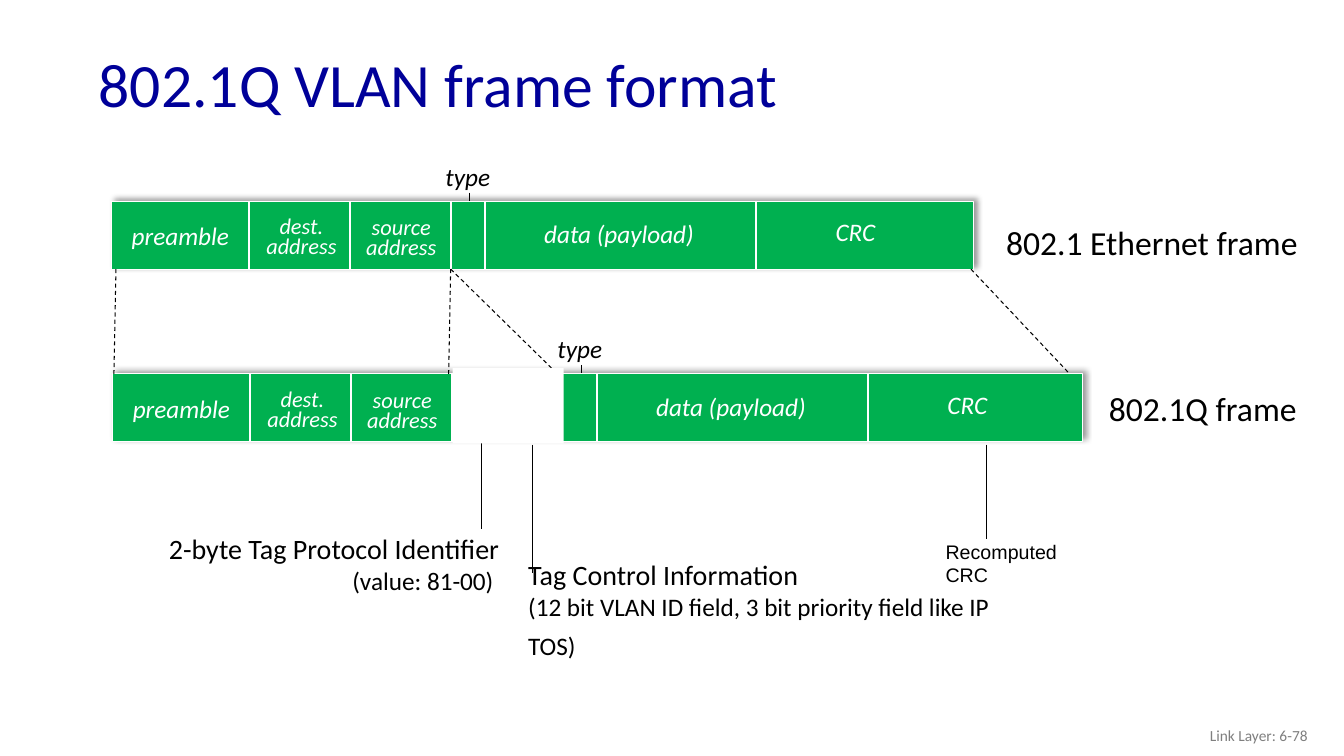
from dataclasses import dataclass

from lxml.etree import SubElement
from pptx import Presentation
from pptx.dml.color import RGBColor
from pptx.enum.dml import MSO_LINE
from pptx.enum.shapes import MSO_CONNECTOR, MSO_SHAPE
from pptx.enum.text import MSO_ANCHOR, MSO_AUTO_SIZE, PP_ALIGN
from pptx.oxml.ns import qn
from pptx.util import Inches, Pt


@dataclass(frozen=True)
class Theme:
    font: str = "Calibri"
    note_font: str = "Arial"
    title: str = "000099"
    ink: str = "000000"
    field: str = "00B050"
    paper: str = "FFFFFF"
    muted: str = "7F7F7F"
    title_size: int = 44
    frame_size: int = 24
    callout_size: int = 20
    label_size: int = 18
    address_size: int = 16
    note_size: int = 14
    footer_size: int = 11


@dataclass(frozen=True)
class Box:
    left: float
    top: float
    width: float
    height: float


THEME = Theme()


def rgb(value):
    return RGBColor.from_string(value)


def add_run(paragraph, text, size, color=THEME.ink, italic=False, font=THEME.font):
    run = paragraph.add_run()
    run.text = text
    run.font.name = font
    run.font.size = Pt(size)
    run.font.italic = italic
    run.font.color.rgb = rgb(color)


def add_text(slide, box, lines, align=PP_ALIGN.LEFT, anchor=MSO_ANCHOR.TOP,
             spacing=1.0, **style):
    shape = slide.shapes.add_textbox(
        Inches(box.left), Inches(box.top), Inches(box.width), Inches(box.height))
    frame = shape.text_frame
    frame.word_wrap = True
    frame.vertical_anchor = anchor
    for index, runs in enumerate(lines):
        paragraph = frame.add_paragraph() if index else frame.paragraphs[0]
        paragraph.alignment = align
        paragraph.line_spacing = spacing
        for text, size in runs:
            add_run(paragraph, text, size, **style)


def add_line(slide, start, end, color=THEME.ink, width=0.75, dashed=False):
    line = slide.shapes.add_connector(
        MSO_CONNECTOR.STRAIGHT, *(Inches(value) for value in (*start, *end)))
    line.line.color.rgb = rgb(color)
    line.line.width = Pt(width)
    if dashed:
        line.line.dash_style = MSO_LINE.DASH
    SubElement(line._element.spPr, qn("a:effectLst"))


def add_bar(slide, box, color):
    bar = slide.shapes.add_shape(
        MSO_SHAPE.RECTANGLE, Inches(box.left), Inches(box.top),
        Inches(box.width), Inches(box.height))
    bar.shadow.inherit = False
    bar.fill.solid()
    bar.fill.fore_color.rgb = rgb(color)
    bar.line.fill.background()
    return bar


def add_field_bar(slide, box):
    bar = add_bar(slide, box, THEME.field)
    bar.line.color.rgb = rgb(THEME.paper)
    bar.line.width = Pt(0.75)
    effects = bar._element.spPr.find(qn("a:effectLst"))
    shadow = SubElement(effects, qn("a:outerShdw"), blurRad="50800",
                        dist="38100", dir="18900000", algn="bl", rotWithShape="0")
    color = SubElement(shadow, qn("a:srgbClr"), val=THEME.ink)
    SubElement(color, qn("a:alpha"), val="40000")


def add_title(slide, box, text):
    title = slide.shapes.title
    title.left, title.top = Inches(box.left), Inches(box.top)
    title.width, title.height = Inches(box.width), Inches(box.height)
    frame = title.text_frame
    frame.auto_size = MSO_AUTO_SIZE.NONE
    frame.vertical_anchor = MSO_ANCHOR.MIDDLE
    paragraph = frame.paragraphs[0]
    paragraph.alignment = PP_ALIGN.LEFT
    paragraph.line_spacing = 0.9
    add_run(paragraph, text, THEME.title_size, THEME.title)


def add_frame(slide, box, tag_width=0.0):
    left, top = box.left, box.top
    type_x = left + 3.55 + tag_width
    add_line(slide, (type_x, top - 0.09), (type_x, top + 0.16))
    add_field_bar(slide, box)
    dividers = [1.36, 2.36, 3.36, 3.7 + tag_width, 6.39 + tag_width]
    for x in dividers:
        add_line(slide, (left + x, top - 0.01), (left + x, top + 0.67),
                 THEME.paper, 1.5)

    label, address = THEME.label_size, THEME.address_size
    fields = [
        (-0.05, 0.23, 1.46, 0.26, ["preamble"], label, 0.67),
        (1.3, 0.12, 1.16, 0.4, ["dest.", "address"], address, 0.75),
        (2.29, 0.13, 1.16, 0.4, ["source", "address"], address, 0.75),
        (4.09 + tag_width, 0.21, 1.88, 0.26, ["data (payload)"], label, 0.67),
        (6.79 + tag_width, 0.19, 1.17, 0.26, ["CRC"], label, 0.67),
    ]
    for x, y, width, height, lines, size, spacing in fields:
        add_text(slide, Box(left + x, top + y, width, height),
                 [[(line, size)] for line in lines], PP_ALIGN.CENTER,
                 spacing=spacing, color=THEME.paper, italic=True)
    add_text(slide, Box(type_x - 0.34, top - 0.45, 1.05, 0.36),
             [[("type", label)]], italic=True)


def add_projection(slide, upper, lower, tag_width):
    start, end = upper.top + upper.height, lower.top
    for x, target in ((1.15, 1.13), (4.47, 4.45), (4.47, 4.43 + tag_width),
                      (9.63, 9.51 + tag_width)):
        add_line(slide, (x, start), (target, end), dashed=True)


def add_callouts(slide, box):
    left, top = box.left, box.top
    bottom = top + box.height
    add_line(slide, (left + 3.66, bottom - 0.06), (left + 3.66, top + 1.54))
    add_line(slide, (left + 8.66, bottom + 0.03), (left + 8.66, top + 1.64))
    add_line(slide, (left + 4.16, bottom + 0.03), (left + 4.16, top + 1.97), width=1)
    add_text(slide, Box(left + 0.42, top + 1.51, 3.51, 0.74),
             [[("2-byte Tag Protocol Identifier", THEME.callout_size)],
              [("(value: 81-00) ", THEME.label_size)]],
             PP_ALIGN.RIGHT, MSO_ANCHOR.MIDDLE)
    add_text(slide, Box(left + 4.02, top + 1.92, 5.27, 0.84),
             [[("Tag Control Information", THEME.callout_size)],
              [("(12 bit VLAN ID field, 3 bit priority field like IP TOS)",
                THEME.label_size), (" ", THEME.frame_size)]],
             anchor=MSO_ANCHOR.MIDDLE)
    add_text(slide, Box(left + 8.16, top + 1.64, 1.35, 0.53),
             [[("Recomputed", THEME.note_size)],
              [("CRC", THEME.note_size), (" ", THEME.label_size)]],
             anchor=MSO_ANCHOR.MIDDLE, spacing=0.8, font=THEME.note_font)


def build_vlan_slide(presentation):
    slide = presentation.slides.add_slide(presentation.slide_layouts[5])
    ethernet, tagged = Box(1.11, 2, 8.55, 0.67), Box(1.12, 3.71, 9.62, 0.67)
    tag_width = 1.1
    add_title(slide, Box(0.88, 0.38, 11.5, 0.98), "802.1Q VLAN frame format")
    add_text(slide, Box(10.07, 7.1, 3, 0.4),
             [[("Link Layer: 6-78", THEME.footer_size)]],
             PP_ALIGN.RIGHT, MSO_ANCHOR.MIDDLE, color=THEME.muted)
    add_frame(slide, ethernet)
    add_frame(slide, tagged, tag_width)
    add_projection(slide, ethernet, tagged, tag_width)
    for box, name in ((Box(9.88, 2.15, 3.12, 0.5), "802.1 Ethernet frame"),
                      (Box(10.9, 3.8, 2.08, 0.5), "802.1Q frame")):
        add_text(slide, box, [[(name, THEME.frame_size)]])
    add_callouts(slide, tagged)
    add_bar(slide, Box(4.49, 3.65, tag_width, 0.75), THEME.paper)


def main():
    presentation = Presentation()
    presentation.slide_width = Inches(13.33)
    presentation.slide_height = Inches(7.5)
    build_vlan_slide(presentation)
    presentation.save("out.pptx")


if __name__ == "__main__":
    main()
